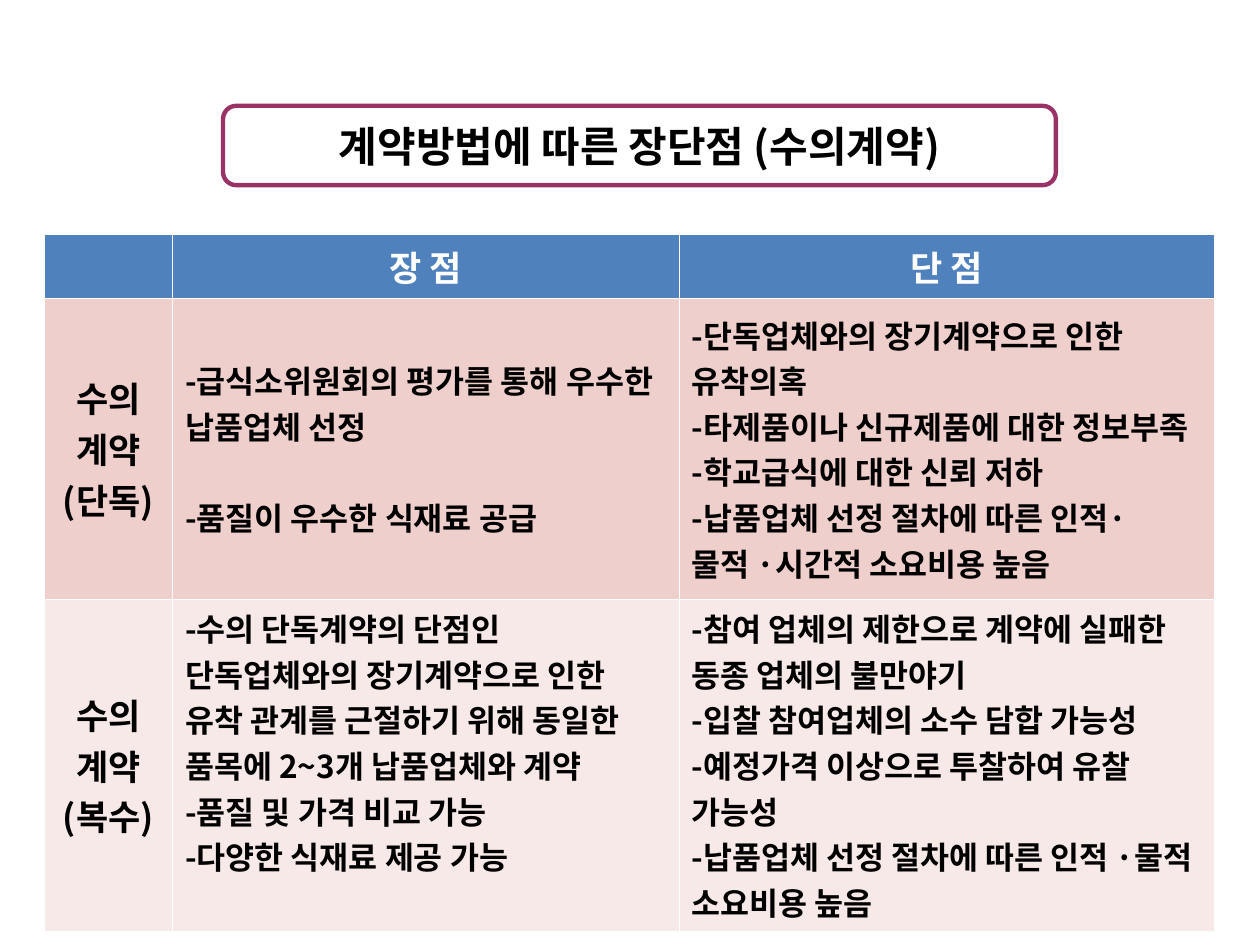
from lxml import etree
from pptx import Presentation
from pptx.dml.color import RGBColor
from pptx.enum.shapes import MSO_SHAPE
from pptx.enum.text import MSO_ANCHOR, PP_ALIGN
from pptx.oxml.ns import qn
from pptx.util import Inches, Pt

CENTER, LEFT = PP_ALIGN.CENTER, PP_ALIGN.LEFT
MIDDLE, TOP = MSO_ANCHOR.MIDDLE, MSO_ANCHOR.TOP
ROUNDED = MSO_SHAPE.ROUNDED_RECTANGLE

FONT = "Noto Sans CJK KR"
BLACK = RGBColor(0x00, 0x00, 0x00)
WHITE = RGBColor(0xFF, 0xFF, 0xFF)
PLUM = RGBColor(0x99, 0x33, 0x66)
BLUE = RGBColor(0x4F, 0x81, 0xBD)
ROSE = RGBColor(0xEF, 0xCF, 0xCC)
PALE_ROSE = RGBColor(0xF7, 0xE9, 0xE7)

TITLE = "계약방법에 따른 장단점 (수의계약)"
COLUMN_WIDTHS = [1.02, 4.02, 4.25]
ROW_HEIGHTS = [0.44, 2.39, 2.37]
ROW_FILLS = [BLUE, ROSE, PALE_ROSE]
ROWS = [
    [[], ["장 점"], ["단 점"]],
    [
        ["수의", "계약", "(단독)"],
        ["-급식소위원회의 평가를 통해 우수한 납품업체 선정",
         "-품질이 우수한 식재료 공급"],
        ["-단독업체와의 장기계약으로 인한 유착의혹",
         "-타제품이나 신규제품에 대한 정보부족",
         "-학교급식에 대한 신뢰 저하",
         "-납품업체 선정 절차에 따른 인적·물적 ·시간적 소요비용 높음"],
    ],
    [
        ["수의", "계약", "(복수)"],
        ["-수의 단독계약의 단점인 단독업체와의 장기계약으로 인한 유착 관계를 "
         "근절하기 위해 동일한 품목에 2~3개 납품업체와 계약",
         "-품질 및 가격 비교 가능",
         "-다양한 식재료 제공 가능"],
        ["-참여 업체의 제한으로 계약에 실패한 동종 업체의 불만야기",
         "-입찰 참여업체의 소수 담합 가능성",
         "-예정가격 이상으로 투찰하여 유찰 가능성",
         "-납품업체 선정 절차에 따른 인적 ·물적 소요비용 높음"],
    ],
]


def write_lines(tf, lines, size, color, align, gap=0):
    """Write bold lines as paragraphs, with a gap in points between them."""
    for i, line in enumerate(lines):
        p = tf.add_paragraph() if i else tf.paragraphs[0]
        p.text = line
        p.alignment = align
        if i and gap:
            p.space_before = Pt(gap)
        p.font.name = FONT
        p.font.size = Pt(size)
        p.font.bold = True
        p.font.color.rgb = color
        props = p._p.pPr.find(qn("a:defRPr"))
        etree.SubElement(props, qn("a:ea"), typeface=FONT)


def set_borders(cell):
    """Give a cell hairline white borders."""
    props = cell._tc.get_or_add_tcPr()
    for i, side in enumerate(("lnL", "lnR", "lnT", "lnB")):
        ln = etree.Element(qn(f"a:{side}"), w=str(Pt(0.06)))
        fill = etree.SubElement(ln, qn("a:solidFill"))
        etree.SubElement(fill, qn("a:srgbClr"), val=str(WHITE))
        props.insert(i, ln)


def add_title(slide, left, top, width, height):
    """Add the outlined title box."""
    sp = slide.shapes.add_shape(ROUNDED, left, top, width, height)
    sp.shadow.inherit = False
    sp.fill.background()
    sp.line.color.rgb = PLUM
    sp.line.width = Pt(2.5)
    tf = sp.text_frame
    tf.word_wrap = False
    tf.vertical_anchor = MIDDLE
    write_lines(tf, [TITLE], 24, BLACK, CENTER)


def add_comparison(slide, left, top, width, height):
    """Add the table of advantages and disadvantages."""
    table = slide.shapes.add_table(
        len(ROWS), len(COLUMN_WIDTHS), left, top, width, height).table
    for column, size in zip(table.columns, COLUMN_WIDTHS):
        column.width = Inches(size)
    for row, size in zip(table.rows, ROW_HEIGHTS):
        row.height = Inches(size)
    for i, row in enumerate(ROWS):
        for j, lines in enumerate(row):
            cell = table.cell(i, j)
            cell.fill.solid()
            cell.fill.fore_color.rgb = ROW_FILLS[i]
            cell.vertical_anchor = TOP if (i, j) == (2, 1) else MIDDLE
            set_borders(cell)
            heading = i == 0 or j == 0
            write_lines(
                cell.text_frame, lines,
                size=20 if heading else 18,
                color=WHITE if i == 0 else BLACK,
                align=CENTER if heading else LEFT,
                gap=26 if (i, j) == (1, 1) else 0)


def main():
    """Build the slide and save it."""
    prs = Presentation()
    prs.slide_width, prs.slide_height = Inches(10), Inches(7.5)
    slide = prs.slides.add_slide(prs.slide_layouts[6])
    add_comparison(slide, Inches(0.35), Inches(1.86), Inches(9.29), Inches(5.2))
    add_title(slide, Inches(1.77), Inches(0.84), Inches(6.61), Inches(0.63))
    prs.save("out.pptx")


if __name__ == "__main__":
    main()
